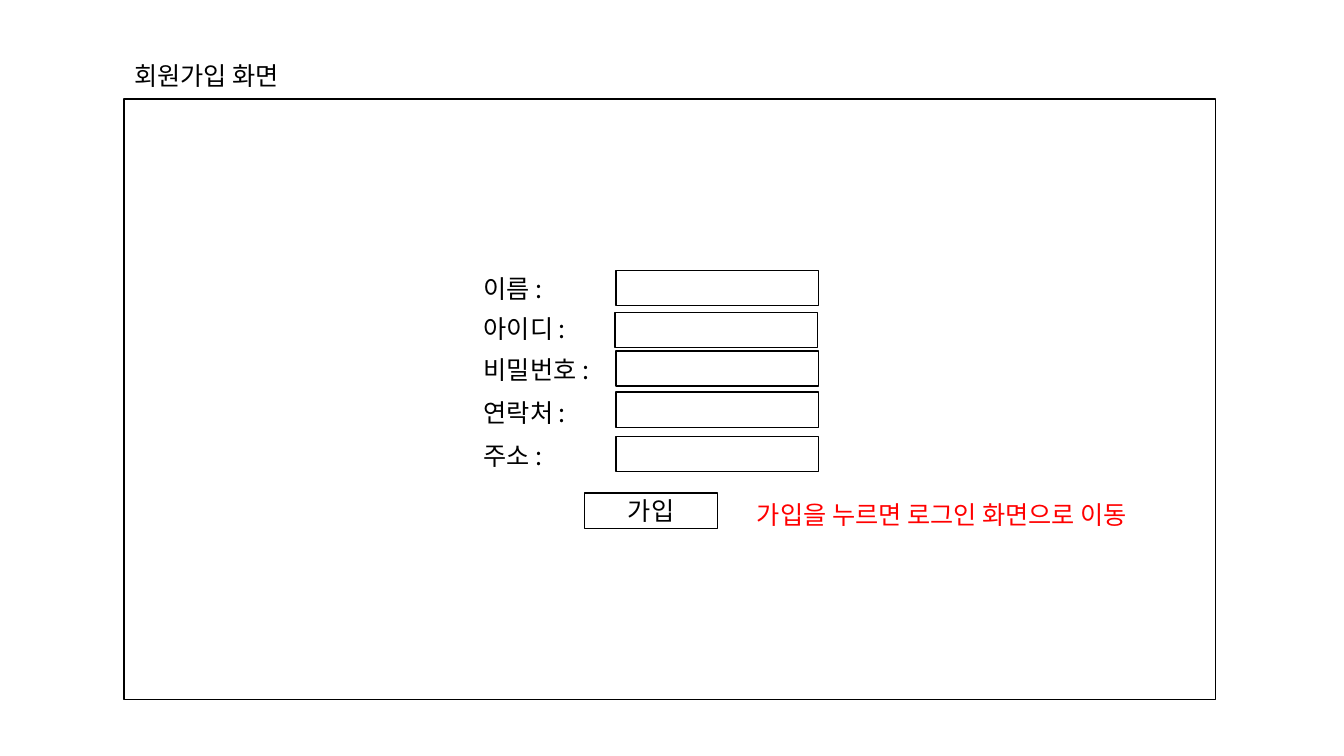
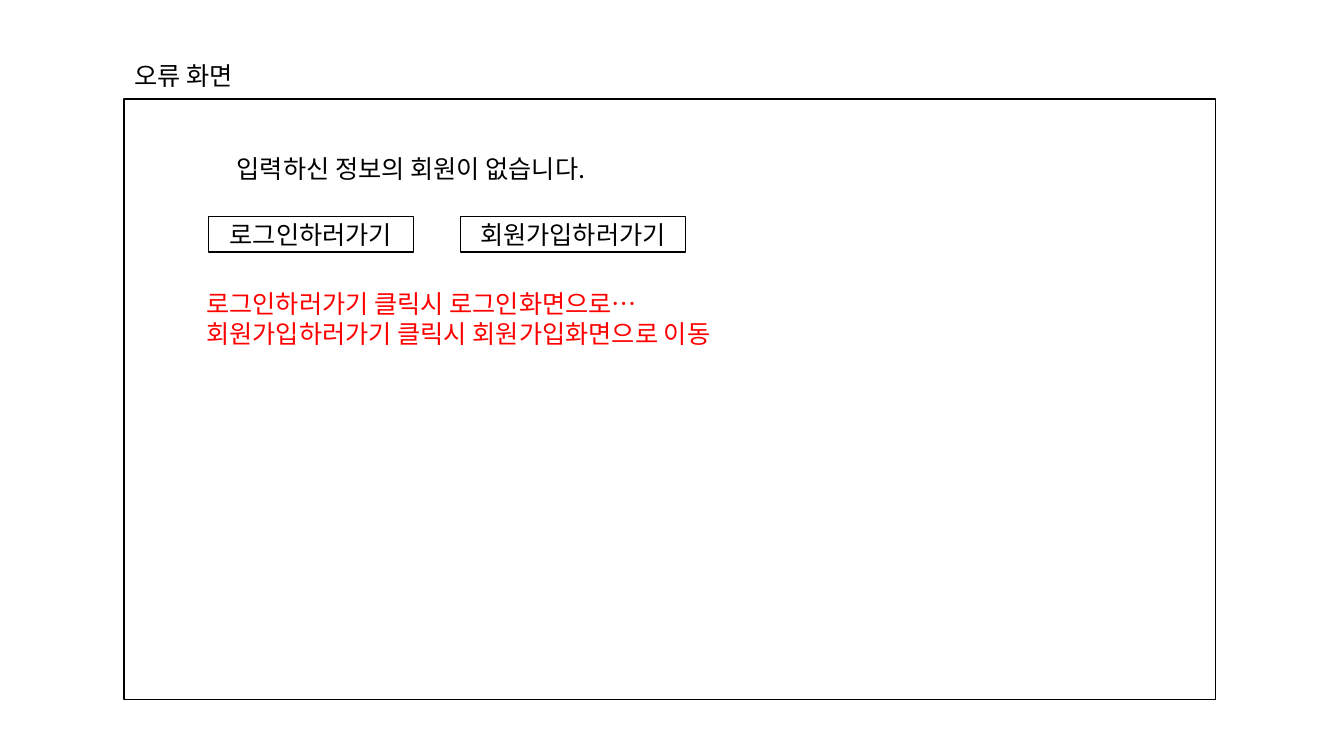
"""Build the sign-up and error screen wireframes."""
from pptx import Presentation
from pptx.dml.color import RGBColor
from pptx.enum import shapes, text
from pptx.oxml import ns
from pptx.util import Pt
from lxml import etree

FONT = "Noto Sans CJK KR"
BLACK, RED = "000000", "FF0000"
LEFT, TOP = text.PP_ALIGN.LEFT, text.MSO_ANCHOR.TOP
CENTER, MIDDLE = text.PP_ALIGN.CENTER, text.MSO_ANCHOR.MIDDLE
FIELD_H = 25.2


def write(sp, content, color=BLACK, align=LEFT, anchor=TOP):
    """Fill a shape with uniformly styled paragraphs."""
    tf = sp.text_frame
    tf.text = content
    tf.word_wrap = True
    tf.auto_size = text.MSO_AUTO_SIZE.NONE
    tf.vertical_anchor = anchor
    if anchor == TOP:
        tf.margin_top = Pt(5)
    for p in tf.paragraphs:
        p.alignment = align
        p.line_spacing = Pt(21.6)
        p.font.size = Pt(18)
        p.font.name = FONT
        p.font.color.rgb = RGBColor.from_string(color)
        latin = p._p.pPr.find(".//" + ns.qn("a:latin"))
        ea = etree.Element(ns.qn("a:ea"), typeface=FONT)
        latin.addnext(ea)


def add_box(s, x, y, w, h, label=""):
    """Add an outlined rectangle, with a centred label if given."""
    sp = s.shapes.add_shape(shapes.MSO_SHAPE.RECTANGLE, Pt(x), Pt(y), Pt(w), Pt(h))
    sp.shadow.inherit = False
    sp.fill.background()
    sp.line.color.rgb = RGBColor.from_string(BLACK)
    sp.line.width = Pt(1)
    if label:
        write(sp, label, align=CENTER, anchor=MIDDLE)


screens = [
    {
        "title": "회원가입 화면",
        "fields": [(440, 193), (439.2, 223.2), (440, 250.6), (440, 280), (440, 311.8)],
        "buttons": [("가입", 417.6, 352.2, 95)],
        "texts": [
            ("이름 :", 338.4, 190, 86.4, 28.8, BLACK),
            ("아이디 :", 338.4, 219, 86.4, 28.8, BLACK),
            ("비밀번호 :", 338.4, 248.4, 100.8, 28.8, BLACK),
            ("연락처 :", 338.4, 278.6, 100.8, 28.8, BLACK),
            ("주소 :", 338.4, 309.6, 100.8, 28.8, BLACK),
            ("가입을 누르면 로그인 화면으로 이동", 533.5, 352, 310.3, 28.8, RED),
        ],
    },
    {
        "title": "오류 화면",
        "fields": [],
        "buttons": [
            ("로그인하러가기", 149, 154.8, 146.2),
            ("회원가입하러가기", 329, 154.8, 160.6),
        ],
        "texts": [
            ("입력하신 정보의 회원이 없습니다.", 162, 104.4, 298.8, 28.8, BLACK),
            ("로그인하러가기 클릭시 로그인화면으로…\n회원가입하러가기 클릭시 회원가입화면으로 이동",
             140.4, 200.9, 535.7, 51, RED),
        ],
    },
]

prs = Presentation()
prs.slide_width, prs.slide_height = Pt(960), Pt(540)

for screen in screens:
    s = prs.slides.add_slide(prs.slide_layouts[5])
    title = s.shapes.title
    title.left, title.top, title.width, title.height = Pt(88.6), Pt(38.2), Pt(372.2), Pt(28.8)
    write(title, screen["title"])

    add_box(s, 88.6, 70.6, 779.8, 429.1)
    for x, y in screen["fields"]:
        add_box(s, x, y, 144.7, FIELD_H)
    for label, x, y, w in screen["buttons"]:
        add_box(s, x, y, w, FIELD_H, label)
    for content, x, y, w, h, color in screen["texts"]:
        sp = s.shapes.add_textbox(Pt(x), Pt(y), Pt(w), Pt(h))
        write(sp, content, color)

prs.save("out.pptx")
